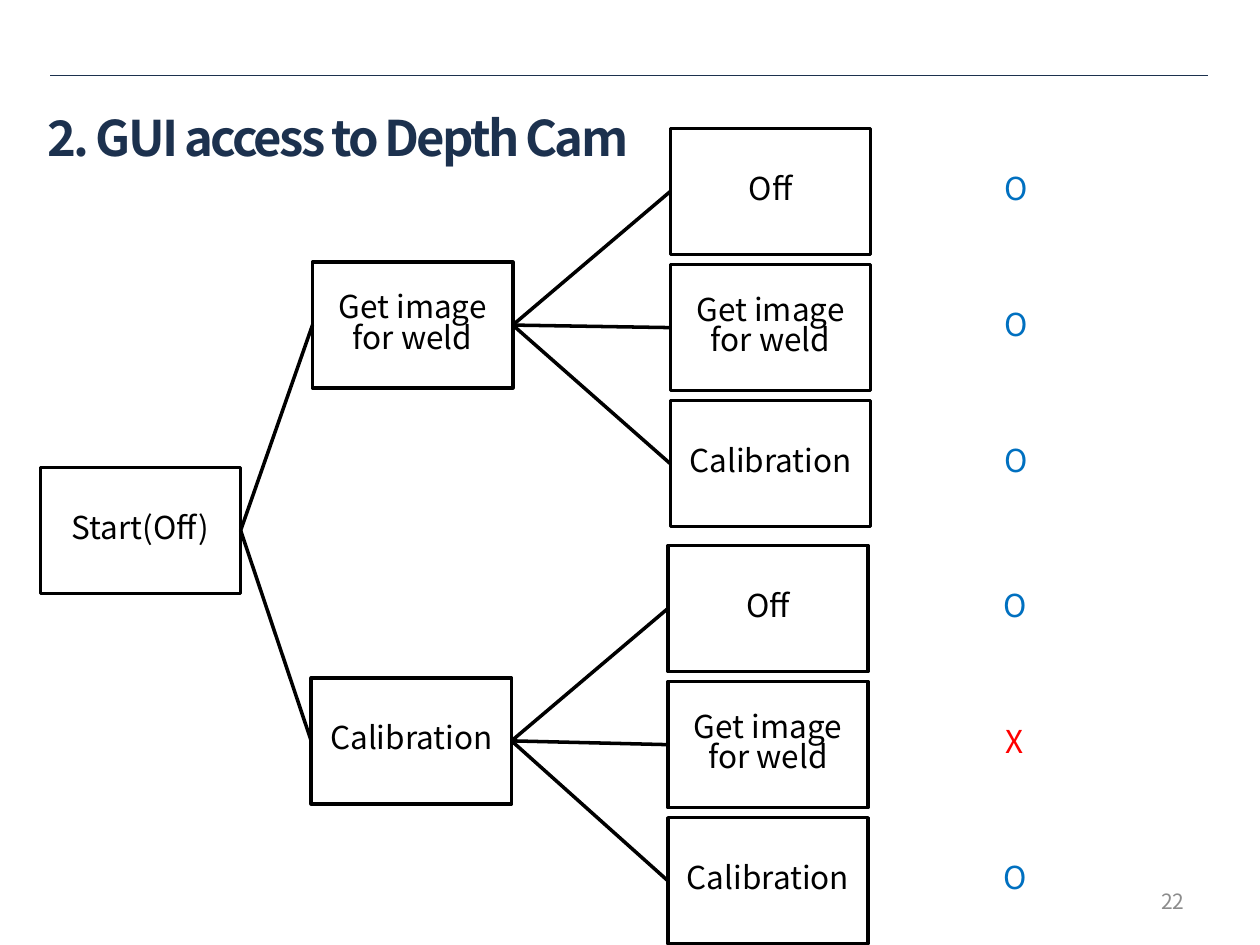
from pptx import Presentation
from pptx.dml.color import RGBColor
from pptx.enum.shapes import MSO_CONNECTOR as Connector, MSO_SHAPE as Shape
from pptx.enum.text import MSO_ANCHOR as Anchor, PP_ALIGN as Align
from pptx.oxml.ns import qn
from pptx.util import Inches, Pt
from lxml.etree import SubElement

FONT = "Noto Sans CJK KR"
COLORS = {"navy": "1C314E", "black": "000000", "white": "FFFFFF",
          "gray": "8C8C8C", "O": "0070C0", "X": "FF0000"}

TITLE = "2. GUI access to Depth Cam"
PAGE = "22"
START = ("Start(Off)", 0.32, 3.71)
NEXT_STATES = ["Off", "Get image for weld", "Calibration"]
# state, left, top, left of its next states, top of the first, left of results, results
BRANCHES = [
    ("Get image for weld", 2.48, 2.08, 5.32, 1.02, 7.27, "OOO"),
    ("Calibration", 2.47, 5.38, 5.30, 4.33, 7.26, "OXO"),
]
BOX_W, BOX_H, STEP = 1.59, 1.0, 1.08

prs = Presentation()
prs.slide_width, prs.slide_height = Inches(10), Inches(7.5)
slide = prs.slides.add_slide(prs.slide_layouts[6])


def rgb(name):
    return RGBColor.from_string(COLORS[name])


def write(shape, text, size=18, color="black", align=Align.CENTER,
          bold=False, tracking=None, spacing=None):
    frame = shape.text_frame
    frame.word_wrap = True
    frame.vertical_anchor = Anchor.MIDDLE
    paragraph = frame.paragraphs[0]
    paragraph.alignment = align
    paragraph.line_spacing = spacing
    run = paragraph.add_run()
    run.text = text
    font = run.font
    font.name, font.size, font.bold = FONT, Pt(size), bold
    font.color.rgb = rgb(color)
    props = font._element
    SubElement(props, qn("a:ea")).set("typeface", FONT)
    if tracking is not None:
        props.set("spc", str(int(tracking * 100)))


def add_label(text, left, top, width, height, **style):
    label = slide.shapes.add_textbox(*map(Inches, (left, top, width, height)))
    write(label, text, **style)


def add_box(text, left, top, color="black", outlined=True):
    box = slide.shapes.add_shape(
        Shape.RECTANGLE, *map(Inches, (left, top, BOX_W, BOX_H)))
    box.shadow.inherit = False
    box.fill.solid()
    box.fill.fore_color.rgb = rgb("white")
    if outlined:
        box.line.color.rgb = rgb("black")
        box.line.width = Pt(2)
    else:
        box.line.fill.background()
    write(box, text, color=color, spacing=0.8)
    return box


def add_line(x1, y1, x2, y2, color="black", width=2):
    line = slide.shapes.add_connector(
        Connector.STRAIGHT, *map(Inches, (x1, y1, x2, y2)))
    line.line.color.rgb = rgb(color)
    line.line.width = Pt(width)
    SubElement(line._element.spPr, qn("a:effectLst"))
    return line


def link(parent, child):
    """Join the right side of one box to the left side of another."""
    line = add_line(0, 0, 1, 1)
    line.begin_connect(parent, 3)
    line.end_connect(child, 1)


add_line(0.4, 0.6, 9.59, 0.6, color="navy", width=0.25)
add_label(TITLE, 0.28, 0.77, 7.65, 0.64, size=28, color="navy",
          align=Align.LEFT, bold=True, tracking=-1.5)
add_label(PAGE, 7.17, 6.95, 2.33, 0.4, size=12, color="gray", align=Align.RIGHT)

start = add_box(*START)
for state, left, top, next_left, next_top, result_left, results in BRANCHES:
    branch = add_box(state, left, top)
    link(start, branch)
    for row, (next_state, result) in enumerate(zip(NEXT_STATES, results)):
        row_top = next_top + row * STEP
        link(branch, add_box(next_state, next_left, row_top))
        add_box(result, result_left, row_top, color=result, outlined=False)

prs.save("out.pptx")
